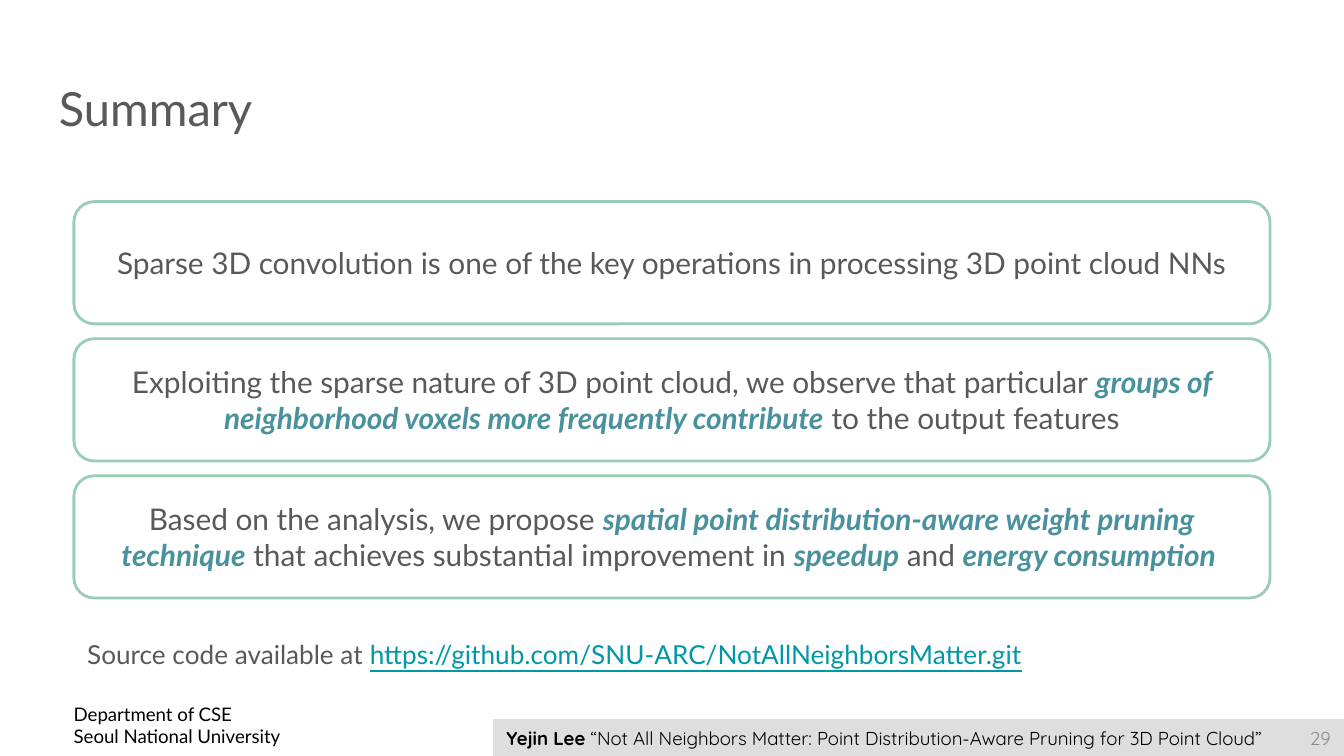
"""Build the summary slide of a talk on pruning for 3D point clouds."""
from dataclasses import dataclass
from typing import Optional

from pptx import Presentation
from pptx.dml.color import RGBColor
from pptx.enum.shapes import MSO_SHAPE
from pptx.enum.text import MSO_ANCHOR, PP_ALIGN
from pptx.util import Inches, Pt

BLACK = RGBColor(0x00, 0x00, 0x00)
DARK_GRAY = RGBColor(0x59, 0x59, 0x59)
PAGE_GRAY = RGBColor(0x8C, 0x8C, 0x8C)
BAND_GRAY = RGBColor(0xDE, 0xDE, 0xDE)
GREEN = RGBColor(0x97, 0xCE, 0xB5)
TEAL = RGBColor(0x4A, 0x91, 0x9E)
LINK = RGBColor(0x00, 0x97, 0xA7)


@dataclass(frozen=True)
class Span:
    text: str
    color: Optional[RGBColor] = None
    bold: Optional[bool] = None
    italic: Optional[bool] = None
    underline: Optional[bool] = None


@dataclass(frozen=True)
class Style:
    size: float
    color: RGBColor
    font: str = "Lato"
    align: PP_ALIGN = PP_ALIGN.LEFT
    anchor: MSO_ANCHOR = MSO_ANCHOR.TOP
    inset: float = 0.05


def key(text: str) -> Span:
    return Span(text, TEAL, bold=True, italic=True)


CARD_STYLE = Style(16, DARK_GRAY, align=PP_ALIGN.CENTER, anchor=MSO_ANCHOR.MIDDLE)
CARD_TOP, CARD_STEP = 1.5, 1.02
CARDS = [
    [Span("Sparse 3D convolution is one of the key operations in processing 3D point cloud NNs")],
    [
        Span("Exploiting the sparse nature of 3D point cloud, we observe that particular "),
        key("groups of neighborhood voxels more frequently contribute"),
        Span(" to the output features"),
    ],
    [
        Span("Based on the analysis, we propose "),
        key("spatial point distribution-aware weight pruning technique"),
        Span(" that achieves substantial improvement in "),
        key("speedup"),
        Span(" and "),
        key("energy consumption "),
    ],
]


def write(shape, lines: list[list[Span]], style: Style) -> None:
    frame = shape.text_frame
    frame.word_wrap = True
    frame.vertical_anchor = style.anchor
    frame.margin_left = frame.margin_right = Inches(0.1)
    frame.margin_top = frame.margin_bottom = Inches(style.inset)
    for index, spans in enumerate(lines):
        paragraph = frame.add_paragraph() if index else frame.paragraphs[0]
        paragraph.alignment = style.align
        paragraph.font.name = style.font
        paragraph.font.size = Pt(style.size)
        paragraph.font.color.rgb = style.color
        for span in spans:
            run = paragraph.add_run()
            run.text = span.text
            run.font.bold = span.bold
            run.font.italic = span.italic
            run.font.underline = span.underline
            if span.color is not None:
                run.font.color.rgb = span.color


def add_text(slide, left: float, top: float, width: float, height: float,
             lines: list[list[Span]], style: Style) -> None:
    box = slide.shapes.add_textbox(Inches(left), Inches(top), Inches(width), Inches(height))
    write(box, lines, style)


def add_band(slide) -> None:
    band = slide.shapes.add_shape(
        MSO_SHAPE.RECTANGLE, Inches(3.67), Inches(5.35), Inches(6.33), Inches(0.28))
    band.shadow.inherit = False
    band.fill.solid()
    band.fill.fore_color.rgb = BAND_GRAY
    band.line.fill.background()
    citation = [
        Span("Yejin Lee ", bold=True),
        Span("“Not All Neighbors Matter: Point Distribution-Aware Pruning for 3D Point Cloud”"),
    ]
    write(band, [citation], Style(10, BLACK, "Quicksand", anchor=MSO_ANCHOR.MIDDLE))


def add_card(slide, top: float, spans: list[Span]) -> None:
    card = slide.shapes.add_shape(
        MSO_SHAPE.ROUNDED_RECTANGLE, Inches(0.55), Inches(top), Inches(8.9), Inches(0.91))
    card.shadow.inherit = False
    card.fill.background()
    card.line.color.rgb = GREEN
    card.line.width = Pt(1.5)
    write(card, [spans], CARD_STYLE)


def main() -> None:
    presentation = Presentation()
    presentation.slide_width = Inches(10)
    presentation.slide_height = Inches(10) * 9 // 16
    slide = presentation.slides.add_slide(presentation.slide_layouts[6])

    add_text(slide, 0.45, 5.13, 4.51, 0.54,
             [[Span("Department of CSE")], [Span("Seoul National University")]],
             Style(10, BLACK, inset=0.1))
    add_band(slide)
    add_text(slide, 0.34, 0.49, 9.32, 0.63, [[Span("Summary")]],
             Style(25.2, DARK_GRAY, inset=0.1))
    add_text(slide, 9.44, 5.36, 0.56, 0.27, [[Span("29")]],
             Style(10, PAGE_GRAY, "Quicksand", PP_ALIGN.RIGHT, MSO_ANCHOR.MIDDLE, 0.1))
    for index, spans in enumerate(CARDS):
        add_card(slide, CARD_TOP + index * CARD_STEP, spans)
    source = [
        Span("Source code available at "),
        Span("https://github.com/SNU-ARC/NotAllNeighborsMatter.git", LINK, underline=True),
        Span(" ", BLACK),
    ]
    add_text(slide, 0.55, 4.7, 8.89, 0.34, [source], Style(14, DARK_GRAY))

    presentation.save("out.pptx")


if __name__ == "__main__":
    main()
